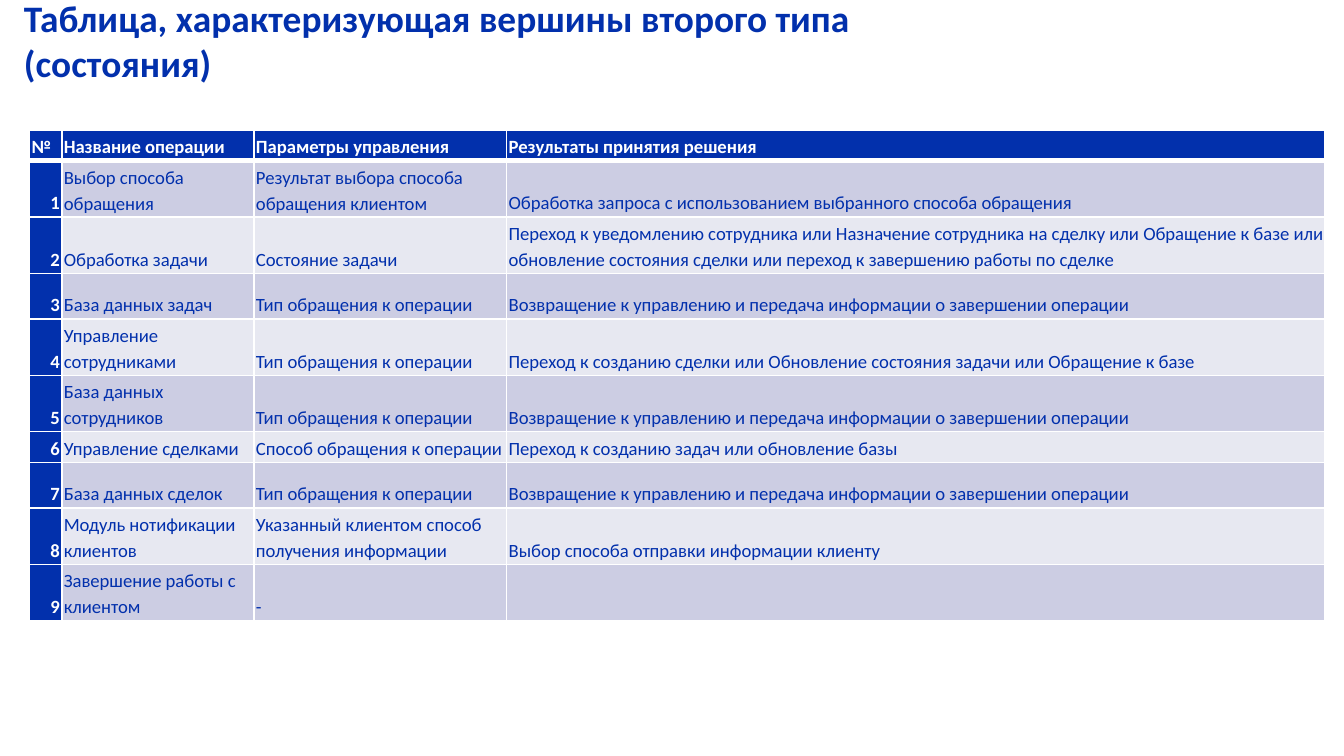
from lxml.etree import SubElement
from pptx import Presentation
from pptx.dml.color import RGBColor
from pptx.enum.text import MSO_ANCHOR, PP_ALIGN
from pptx.oxml.ns import qn
from pptx.util import Inches, Pt

BLUE, WHITE, BANDS = "0230AC", "FFFFFF", ("E7E8F1", "CCCDE3")
COLUMN_WIDTHS = (0.24, 1.43, 1.88, 6.09)
ROW_HEIGHTS = (0.13, 0.34, 0.42, 0.34, 0.34, 0.34, 0.23, 0.34, 0.23, 0.15)
HEADERS = ("№", "Название операции", "Параметры управления", "Результаты принятия решения")
CALL_TYPE = "Тип обращения к операции"
RETURN = "Возвращение к управлению и передача информации о завершении операции"
OPERATIONS = (
    ("Выбор способа обращения", "Результат выбора способа обращения клиентом",
     "Обработка запроса с использованием выбранного способа обращения"),
    ("Обработка задачи", "Состояние задачи",
     "Переход к уведомлению сотрудника или Назначение сотрудника на сделку или Обращение к базе "
     "или обновление состояния сделки или переход к завершению работы по сделке"),
    ("База данных задач", CALL_TYPE, RETURN),
    ("Управление сотрудниками", CALL_TYPE,
     "Переход к созданию сделки или Обновление состояния задачи или Обращение к базе"),
    ("База данных сотрудников", CALL_TYPE, RETURN),
    ("Управление сделками", "Способ обращения к операции",
     "Переход к созданию задач или обновление базы"),
    ("База данных сделок", CALL_TYPE, RETURN),
    ("Модуль нотификации клиентов", "Указанный клиентом способ получения информации",
     "Выбор способа отправки информации клиенту"),
    ("Завершение работы с клиентом", "-", ""),
)


def rgb(color):
    """Turn a hex string into a colour."""
    return RGBColor.from_string(color)


def write(tf, text, size, color, bold):
    """Put formatted text into a frame and return its paragraph."""
    tf.text = text
    p = tf.paragraphs[0]
    for r in p.runs:
        r.font.name, r.font.size, r.font.bold = "Calibri", Pt(size), bold
        r.font.color.rgb = rgb(color)
    return p


def add_title(s, text):
    """Add the slide title."""
    sp = s.shapes.add_textbox(Inches(0.08), Inches(0), Inches(6.85), Inches(0.6))
    tf = sp.text_frame
    tf.word_wrap = True
    tf.vertical_anchor = MSO_ANCHOR.MIDDLE
    write(tf, text, 20, BLUE, True)


def set_border(cell, side, width):
    """Draw one white cell border."""
    ln = SubElement(cell._tc.get_or_add_tcPr(), qn(f"a:ln{side}"), w=str(Pt(width)))
    SubElement(SubElement(ln, qn("a:solidFill")), qn("a:srgbClr"), val=WHITE)


def format_cell(cell, text, row, col):
    """Fill, border and write one table cell."""
    heading = row == 0 or col == 0
    thick = {(0, "B"), (1, "T")}
    for side in "LRTB":
        set_border(cell, side, 3 if (row, side) in thick else 1)
    cell.fill.solid()
    cell.fill.fore_color.rgb = rgb(BLUE if heading else BANDS[row % 2])
    cell.margin_left = cell.margin_right = Pt(1.1)
    cell.margin_top = cell.margin_bottom = Pt(1.25)
    cell.vertical_anchor = MSO_ANCHOR.BOTTOM
    p = write(cell.text_frame, text, 10, WHITE if heading else BLUE, heading)
    p.line_spacing = 1.15
    if row and col == 0:
        p.alignment = PP_ALIGN.RIGHT


def add_state_table(s):
    """Add the table of states."""
    rows = [HEADERS] + [(str(n), *cells) for n, cells in enumerate(OPERATIONS, 1)]
    frame = s.shapes.add_table(len(rows), len(HEADERS), Inches(0.22), Inches(0.97),
                               Inches(9.63), Inches(3.54))
    table = frame.table
    for column, width in zip(table.columns, COLUMN_WIDTHS):
        column.width = Inches(width)
    for row, height in zip(table.rows, ROW_HEIGHTS):
        row.height = Inches(height)
    frame.width, frame.height = Inches(9.63), Inches(3.54)
    for i, texts in enumerate(rows):
        for j, text in enumerate(texts):
            format_cell(table.cell(i, j), text, i, j)


def main():
    """Build and save the slide."""
    prs = Presentation()
    prs.slide_width = Inches(10)
    prs.slide_height = prs.slide_width * 9 // 16
    s = prs.slides.add_slide(prs.slide_layouts[6])
    add_title(s, "Таблица, характеризующая вершины второго типа (состояния)")
    add_state_table(s)
    prs.save("out.pptx")


if __name__ == "__main__":
    main()
